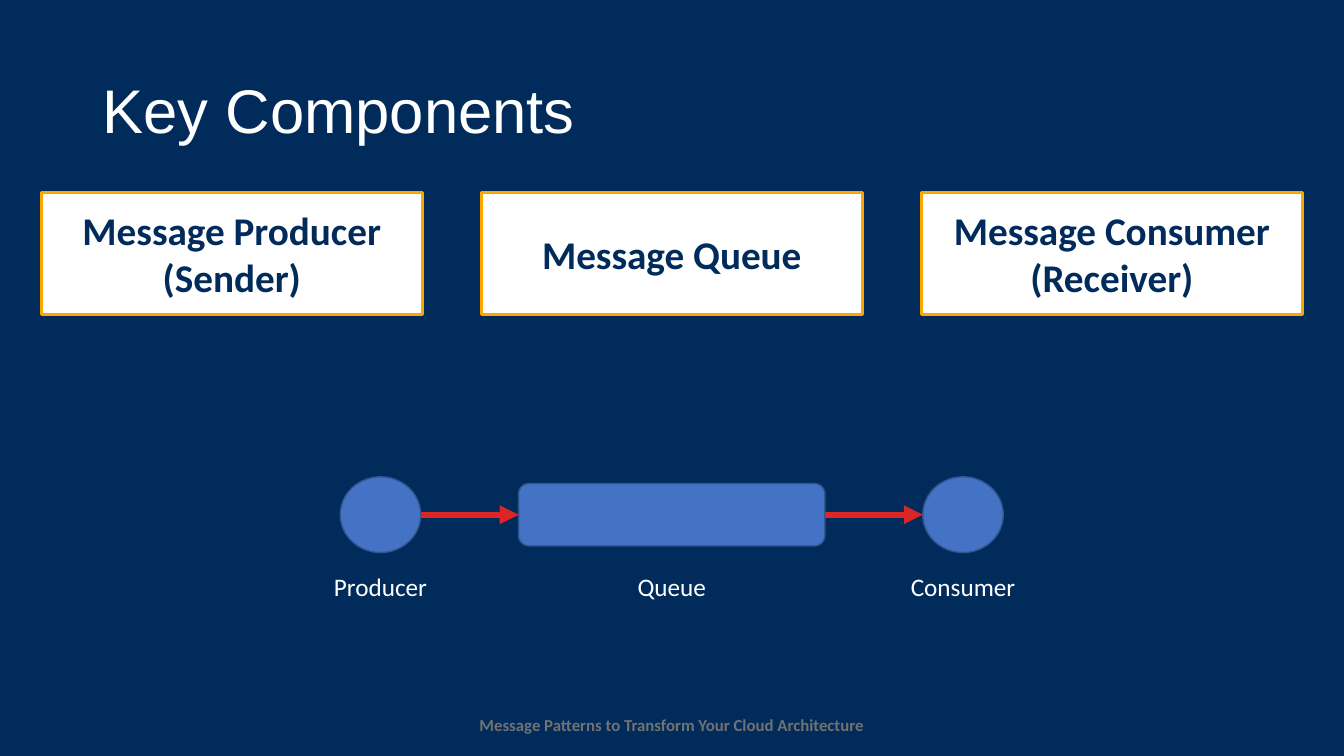
from dataclasses import dataclass

from lxml import etree
from pptx import Presentation
from pptx.dml.color import RGBColor
from pptx.enum import shapes, text
from pptx.oxml import ns
from pptx.util import Cm, Pt

NAVY = RGBColor(0x00, 0x2B, 0x5B)
WHITE = RGBColor(0xFF, 0xFF, 0xFF)
ORANGE = RGBColor(0xFF, 0xA5, 0x00)
BLUE = RGBColor(0x44, 0x72, 0xC4)
DARK_BLUE = RGBColor(0x32, 0x54, 0x91)
RED = RGBColor(0xDC, 0x26, 0x26)
GRAY = RGBColor(0x72, 0x72, 0x72)

CENTER = 16.93  # horizontal middle of the slide, in cm
BOX_PITCH = 11.09
NODE_PITCH = 7.34
NODE_MIDDLE = 12.97
BOX_LABELS = ("Message Producer (Sender)", "Message Queue", "Message Consumer (Receiver)")


@dataclass(frozen=True)
class Node:
    label: str
    kind: shapes.MSO_SHAPE
    width: float
    height: float
    label_width: float


CIRCLE = shapes.MSO_SHAPE.OVAL
NODES = (
    Node("Producer", CIRCLE, 2.03, 1.91, 2.9),
    Node("Queue", shapes.MSO_SHAPE.ROUNDED_RECTANGLE, 7.72, 1.57, 2.26),
    Node("Consumer", CIRCLE, 2.03, 1.91, 3.18),
)


def write(shape, words: str, size: float, color: RGBColor, bold: bool = False,
          font: str = "Calibri", align=text.PP_ALIGN.CENTER) -> None:
    shape.text_frame.text = words
    paragraph = shape.text_frame.paragraphs[0]
    paragraph.alignment = align
    run_font = paragraph.runs[0].font
    run_font.name = font
    run_font.size = Pt(size)
    run_font.bold = bold
    run_font.color.rgb = color


def add_filled(slide, kind, center: float, top: float, width: float, height: float,
               fill: RGBColor, line: RGBColor, line_width: float):
    shape = slide.shapes.add_shape(kind, Cm(center - width / 2), Cm(top), Cm(width), Cm(height))
    shape.shadow.inherit = False
    shape.fill.solid()
    shape.fill.fore_color.rgb = fill
    shape.line.color.rgb = line
    shape.line.width = Pt(line_width)
    return shape


def add_label(slide, words: str, center: float, top: float, width: float, height: float,
              size: float, color: RGBColor, bold: bool = False) -> None:
    label = slide.shapes.add_textbox(Cm(center - width / 2), Cm(top), Cm(width), Cm(height))
    label.text_frame.word_wrap = False
    write(label, words, size, color, bold)


def add_arrow(slide, start, end):
    middle = Cm(NODE_MIDDLE)
    arrow = slide.shapes.add_connector(
        shapes.MSO_CONNECTOR.STRAIGHT, start.left + start.width, middle, end.left, middle)
    arrow.line.color.rgb = RED
    arrow.line.width = Pt(4.5)
    etree.SubElement(arrow.line._get_or_add_ln(), ns.qn("a:tailEnd"), type="triangle")
    etree.SubElement(arrow._element.spPr, ns.qn("a:effectLst"))
    return arrow


def main() -> None:
    presentation = Presentation()
    presentation.slide_width = Cm(33.87)
    presentation.slide_height = Cm(19.05)
    slide = presentation.slides.add_slide(presentation.slide_layouts[5])
    slide.background.fill.solid()
    slide.background.fill.fore_color.rgb = NAVY

    # Title
    title = slide.shapes.title
    title.left, title.top, title.width, title.height = Cm(2.33), Cm(1.02), Cm(29.21), Cm(3.68)
    title.text_frame.vertical_anchor = text.MSO_ANCHOR.MIDDLE
    title.text_frame.auto_size = text.MSO_AUTO_SIZE.NONE
    write(title, "Key Components", 44, WHITE, font="Arial", align=text.PP_ALIGN.LEFT)
    title.text_frame.paragraphs[0].line_spacing = 0.9

    # Component boxes
    for step, words in enumerate(BOX_LABELS, start=-1):
        box = add_filled(slide, shapes.MSO_SHAPE.RECTANGLE, CENTER + step * BOX_PITCH,
                         4.85, 9.6, 3.07, WHITE, ORANGE, 2.25)
        box.text_frame.word_wrap = True
        box.text_frame.vertical_anchor = text.MSO_ANCHOR.MIDDLE
        write(box, words, 28, NAVY, bold=True)

    # Message flow
    drawn = []
    for step, node in enumerate(NODES, start=-1):
        center = CENTER + step * NODE_PITCH
        drawn.append(add_filled(slide, node.kind, center, NODE_MIDDLE - node.height / 2,
                                node.width, node.height, BLUE, DARK_BLUE, 1))
        add_label(slide, node.label, center, 14.27, node.label_width, 1.02, 18, WHITE)
    producer, queue, consumer = drawn
    add_arrow(slide, producer, queue).end_connect(queue, 1)
    add_arrow(slide, queue, consumer).begin_connect(queue, 3)

    # Footer
    add_label(slide, "Message Patterns to Transform Your Cloud Architecture",
              CENTER, 17.88, 10.31, 0.76, 12, GRAY, bold=True)

    presentation.save("out.pptx")


if __name__ == "__main__":
    main()
